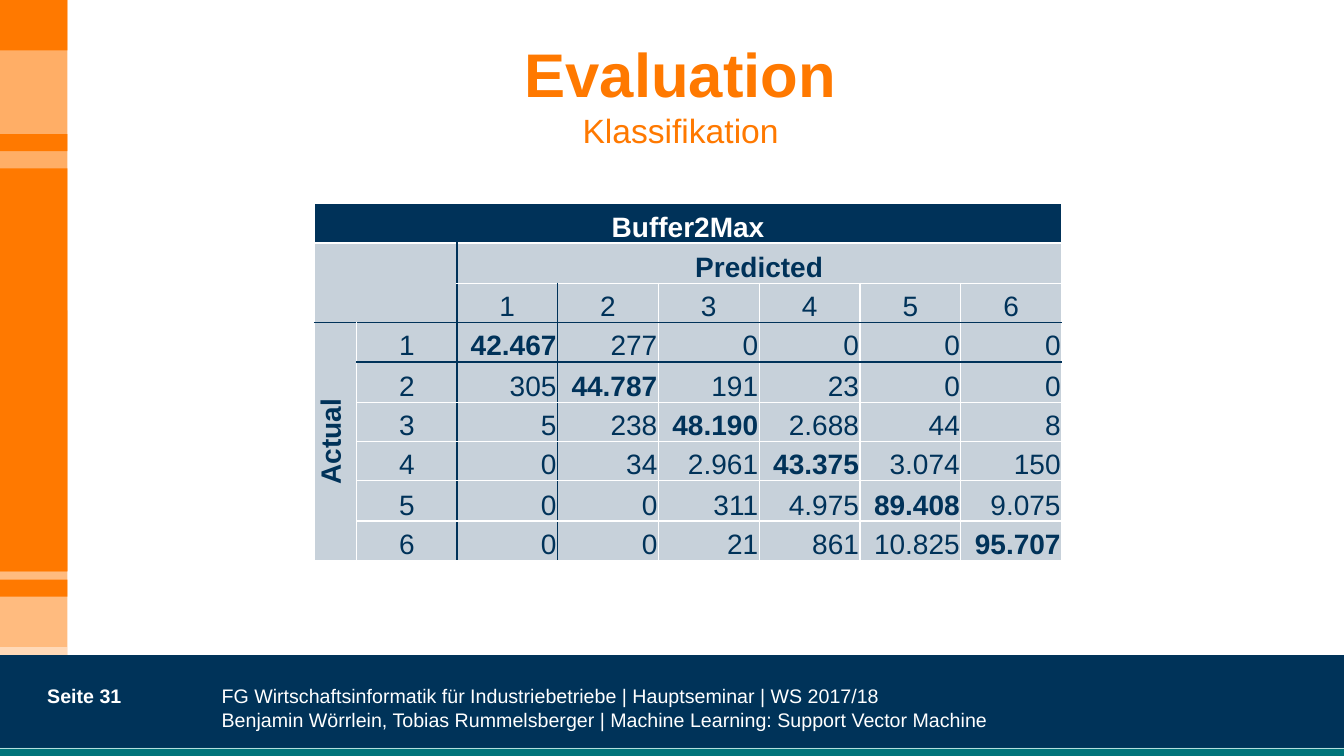
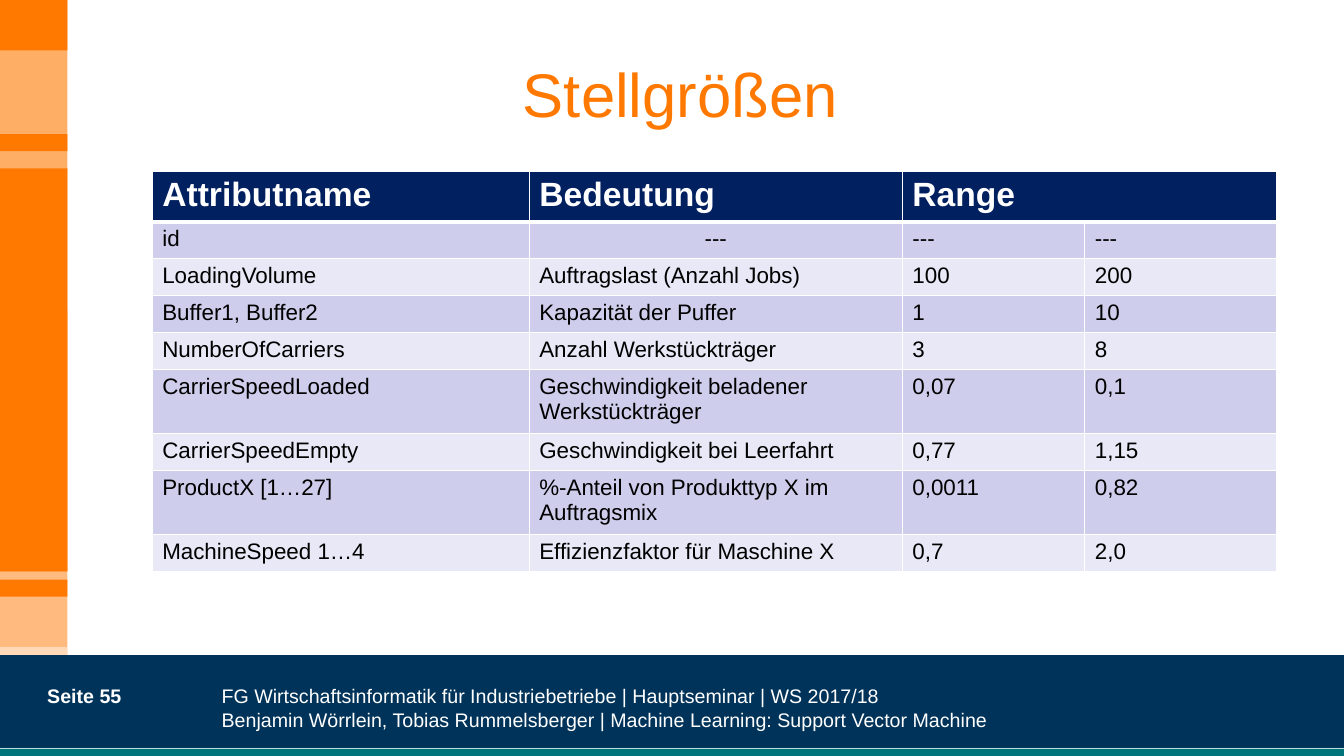
from lxml import etree
from pptx import Presentation
from pptx import util as u
from pptx.dml.color import RGBColor
from pptx.enum import shapes, text
from pptx.oxml.ns import qn

PX = 9144  # EMU per px, 100 px to the inch
FONT = "Arial"
ORANGE, NAVY, TEAL, MINT = "FF7900", "003359", "00747A", "B4DCDC"
INK, HEADER, WHITE, BLACK = "003259", "002060", "FFFFFF", "000000"
BANDS = ("CECEEC", "E8E8F6")
LEFT, CENTER, RIGHT = text.PP_ALIGN.LEFT, text.PP_ALIGN.CENTER, text.PP_ALIGN.RIGHT
TOP, MIDDLE, BOTTOM = text.MSO_ANCHOR.TOP, text.MSO_ANCHOR.MIDDLE, text.MSO_ANCHOR.BOTTOM

FOOTER = ("FG Wirtschaftsinformatik für Industriebetriebe | Hauptseminar | WS 2017/18",
          "Benjamin Wörrlein, Tobias Rummelsberger | Machine Learning: Support Vector Machine")

# top, height, colour, opacity in percent
SIDE_BANDS = [(0, 567, ORANGE, 60), (308, 342, ORANGE, 50), (167, 400, ORANGE, 100),
              (642, 8, WHITE, 45), (0, 50, ORANGE, 100), (133, 17, ORANGE, 100),
              (575, 17, ORANGE, 100)]

CONFUSION = [
    ("42.467", "277", "0", "0", "0", "0"),
    ("305", "44.787", "191", "23", "0", "0"),
    ("5", "238", "48.190", "2.688", "44", "8"),
    ("0", "34", "2.961", "43.375", "3.074", "150"),
    ("0", "0", "311", "4.975", "89.408", "9.075"),
    ("0", "0", "21", "861", "10.825", "95.707"),
]

ATTRIBUTES = [
    ("id", "---", "---", "---"),
    ("LoadingVolume", "Auftragslast (Anzahl Jobs)", "100", "200"),
    ("Buffer1, Buffer2", "Kapazität der Puffer", "1", "10"),
    ("NumberOfCarriers", "Anzahl Werkstückträger", "3", "8"),
    ("CarrierSpeedLoaded", "Geschwindigkeit beladener Werkstückträger", "0,07", "0,1"),
    ("CarrierSpeedEmpty", "Geschwindigkeit bei Leerfahrt", "0,77", "1,15"),
    ("ProductX [1…27]", "%-Anteil von Produkttyp X im Auftragsmix", "0,0011", "0,82"),
    ("MachineSpeed 1…4", "Effizienzfaktor für Maschine X", "0,7", "2,0"),
]


def px(*lengths):
    return [u.Emu(length * PX) for length in lengths]


def rgb(colour):
    return RGBColor.from_string(colour)


def paint(target, colour, opacity=100):
    """Fill a shape or a table cell, given as (fill, element)."""
    fill, element = target
    fill.solid()
    fill.fore_color.rgb = rgb(colour)
    if opacity < 100:
        solid = next(element.iter(qn("a:solidFill")) if element.tag == qn("p:sp")
                     else element.iterchildren(qn("a:solidFill")))
        etree.SubElement(solid[0], qn("a:alpha"), val=str(opacity * 1000))


def write(frame, *lines, size=16, colour=BLACK, bold=False, align=LEFT):
    """Put lines into one paragraph; a line may be (text, size, bold)."""
    para = frame.paragraphs[0]
    para.alignment = align
    for index, line in enumerate(lines):
        words, points, weight = (line, size, bold) if isinstance(line, str) else line
        if index:
            para.add_line_break()
        span = para.add_run()
        span.text = words
        span.font.name, span.font.size, span.font.bold = FONT, u.Pt(points), weight
        span.font.color.rgb = rgb(colour)


class SlideBuilder:
    def __init__(self):
        self.deck = Presentation()
        self.deck.slide_width, self.deck.slide_height = px(1333, 750)
        self.page = None

    def new_page(self, number, *title):
        self.page = self.deck.slides.add_slide(self.deck.slide_layouts[6])
        for top, height, colour, opacity in SIDE_BANDS:
            self.rect(0, top, 67, height, colour, opacity)
        self.rect(0, 650, 1333, 100, NAVY)
        self.rect(0, 742, 1333, 8, TEAL)
        self.line(0, 742, 1333, 742, MINT, 0.25)
        self.text(84, 14, 1182, 157, *title, size=44, colour=ORANGE,
                  align=CENTER, anchor=MIDDLE)
        self.text(210, 674, 797, 60, *FOOTER, size=14, colour=WHITE)
        self.text(37, 674, 170, 40, f"Seite {number}", size=14, colour=WHITE, bold=True)

    def rect(self, left, top, width, height, colour, opacity=100):
        shape = self.page.shapes.add_shape(shapes.MSO_SHAPE.RECTANGLE,
                                           *px(left, top, width, height))
        shape.shadow.inherit = False
        shape.line.fill.background()
        paint((shape.fill, shape._element), colour, opacity)

    def line(self, x1, y1, x2, y2, colour, width):
        line = self.page.shapes.add_connector(shapes.MSO_CONNECTOR.STRAIGHT,
                                              *px(x1, y1, x2, y2))
        line.line.color.rgb = rgb(colour)
        line.line.width = u.Pt(width)
        etree.SubElement(line._element.spPr, qn("a:effectLst"))

    def text(self, left, top, width, height, *lines, anchor=TOP, **style):
        box = self.page.shapes.add_textbox(*px(left, top, width, height))
        box.text_frame.word_wrap = True
        box.text_frame.vertical_anchor = anchor
        write(box.text_frame, *lines, **style)

    def table(self, left, top, widths, heights):
        frame = self.page.shapes.add_table(len(heights), len(widths),
                                           *px(left, top, sum(widths), sum(heights)))
        table = frame.table
        table.first_row = table.horz_banding = False
        for column, width in zip(table.columns, px(*widths)):
            column.width = width
        for row, height in zip(table.rows, px(*heights)):
            row.height = height
        return table

    def cell(self, cell, words, fill, opacity=100, borders=None, anchor=TOP,
             margins=(10, 5, 10, 5), **style):
        """Borders map L, R, T, B to (colour, points); the rest are thin white."""
        cell.vertical_anchor = anchor
        cell.margin_left, cell.margin_top, cell.margin_right, cell.margin_bottom = px(*margins)
        props = cell._tc.get_or_add_tcPr()
        for side in "LRTB":
            colour, points = (borders or {}).get(side, (WHITE, 1))
            edge = etree.SubElement(props, qn(f"a:ln{side}"), w=str(u.Pt(points)))
            solid = etree.SubElement(edge, qn("a:solidFill"))
            etree.SubElement(solid, qn("a:srgbClr"), val=colour)
        paint((cell.fill, props), fill, opacity)
        if words:
            write(cell.text_frame, words, **style)


def confusion_page(builder):
    builder.new_page(31, ("Evaluation", 44, True), ("Klassifikation", 24, False))
    table = builder.table(312, 202, [42, 99] + [100] * 6, [39, 40, 39] * 3)
    classes = ("1", "2", "3", "4", "5", "6")
    rows = [("Buffer2Max",) + ("",) * 7,
            ("", "", "Predicted") + ("",) * 5,
            ("", "") + classes]
    rows += [("Actual" if not index else "", name) + values
             for index, (name, values) in enumerate(zip(classes, CONFUSION))]
    dark = (INK, 1.5)
    for r, row in enumerate(rows):
        for c, words in enumerate(row):
            edges = {}
            if r:
                # Dark rules frame the first predicted column and the first actual row
                if c in (1, 2) or (c == 3 and r > 1):
                    edges.update({1: {"R": dark}, 2: {"L": dark}, 3: {"L": dark}}[c])
                if c == 2 and r > 1:
                    edges["R"] = dark
                if r == 2 or (r == 3 and c):
                    edges["B"] = dark
                if r == 3 or (r == 4 and c):
                    edges["T"] = dark
            is_value = r > 2 and c > 1
            builder.cell(table.cell(r, c), words, INK, 22 if r else 100, edges,
                         anchor=MIDDLE if words == "Actual" else BOTTOM,
                         margins=(1, 1, 1, 0), size=20, colour=INK if r else WHITE,
                         bold=r < 2 or words == "Actual" or (is_value and r - 3 == c - 2),
                         align=RIGHT if is_value else CENTER)
    for first, last in [((0, 0), (0, 7)), ((1, 0), (2, 1)), ((1, 2), (1, 7)), ((3, 0), (8, 0))]:
        table.cell(*first).merge(table.cell(*last))
    table.cell(3, 0)._tc.get_or_add_tcPr().set("vert", "vert270")


def attributes_page(builder):
    builder.new_page(55, "Stellgrößen")
    table = builder.table(151, 170, [374, 370, 181, 190],
                          [48, 35, 35, 35, 35, 59, 35, 59, 37])
    thick = (WHITE, 3)
    for c, words in enumerate(("Attributname", "Bedeutung", "Range", "")):
        builder.cell(table.cell(0, c), words, HEADER, borders={"B": thick},
                     size=24, colour=WHITE, bold=True)
    table.cell(0, 2).merge(table.cell(0, 3))
    for r, row in enumerate(ATTRIBUTES, start=1):
        for c, words in enumerate(row):
            builder.cell(table.cell(r, c), words, BANDS[(r - 1) % 2],
                         borders={"T": thick} if r == 1 else None,
                         align=CENTER if (r, c) == (1, 1) else LEFT)


def main():
    builder = SlideBuilder()
    confusion_page(builder)
    attributes_page(builder)
    builder.deck.save("out.pptx")


if __name__ == "__main__":
    main()
